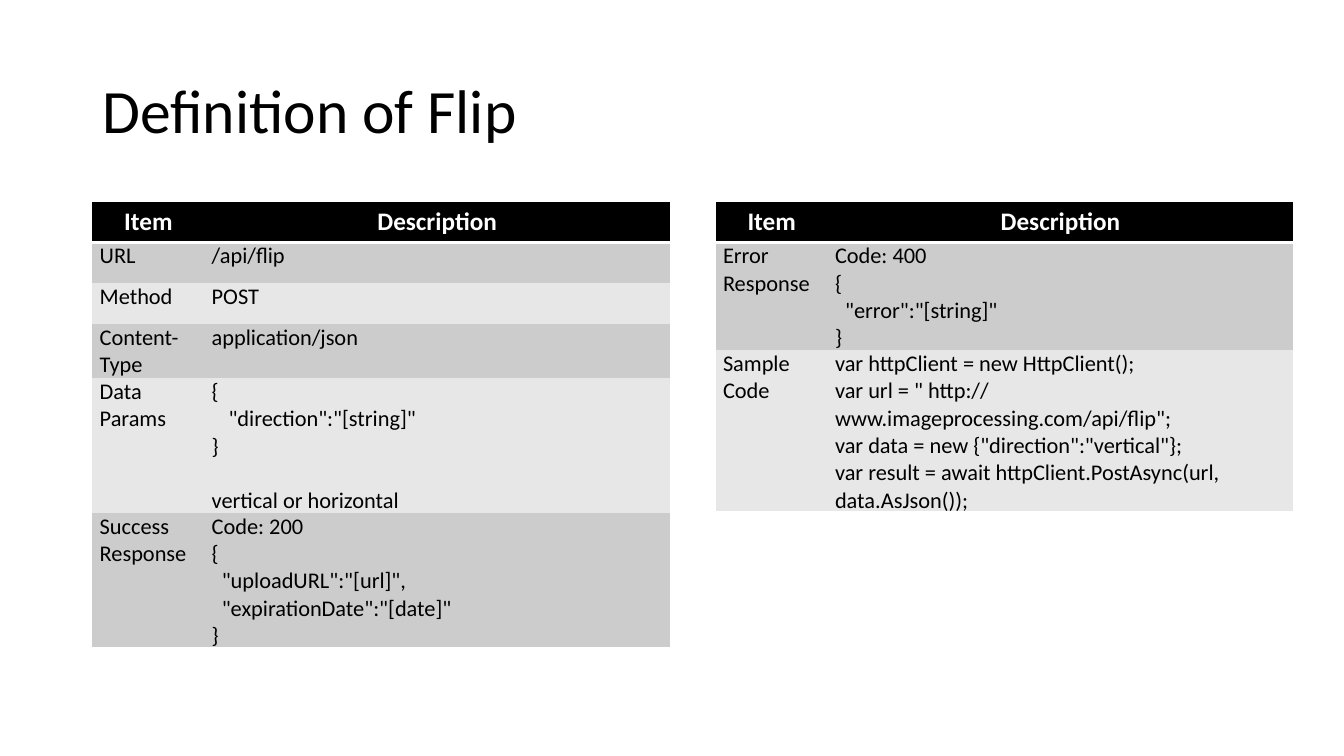
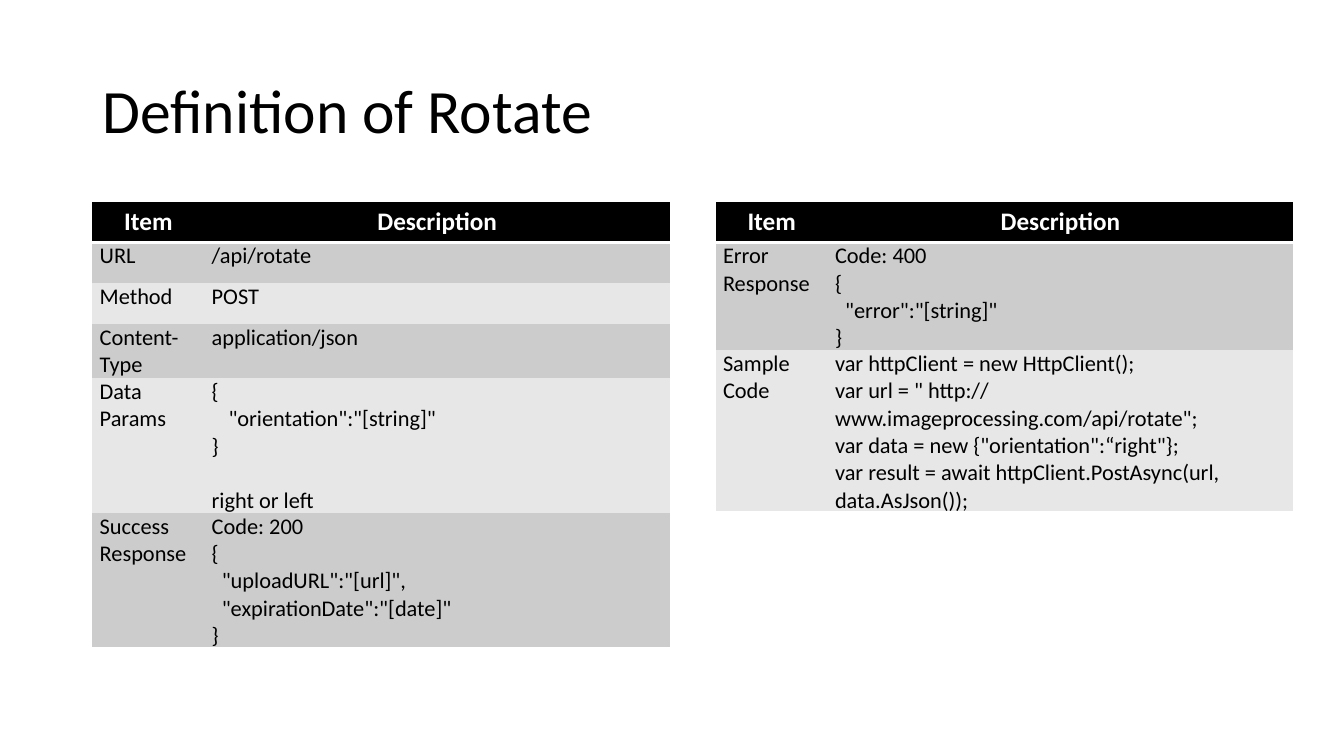
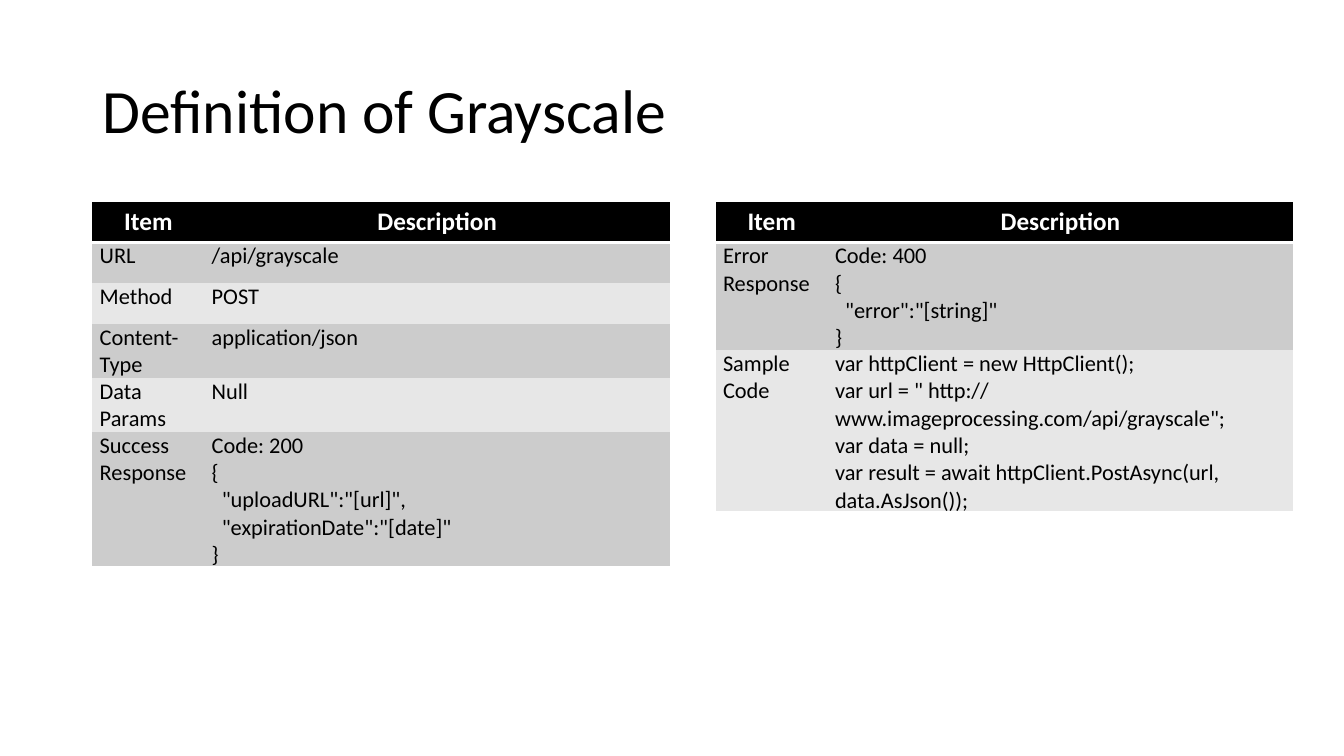
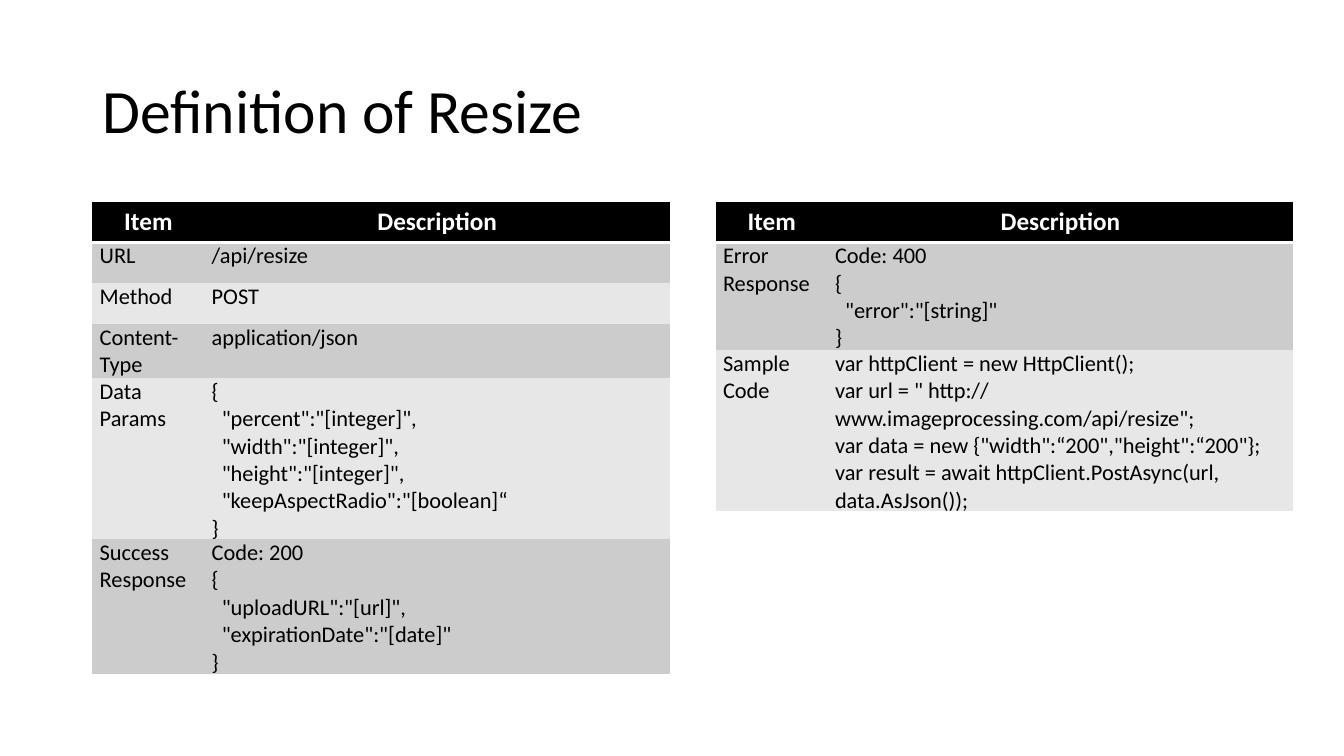
from dataclasses import dataclass

from lxml import etree
from pptx import Presentation
from pptx.dml.color import RGBColor
from pptx.enum.text import MSO_ANCHOR, PP_ALIGN
from pptx.oxml.ns import qn
from pptx.util import Pt

MIDDLE = MSO_ANCHOR.MIDDLE
CENTER = PP_ALIGN.CENTER

FONT = "Calibri"
BLACK = RGBColor(0x00, 0x00, 0x00)
WHITE = RGBColor(0xFF, 0xFF, 0xFF)
BANDS = (RGBColor(0xCC, 0xCC, 0xCC), RGBColor(0xE7, 0xE7, 0xE7))
NO_STYLE = "{2D5ABB26-0587-4C30-8999-92F81FD0307C}"

TITLE_BOX = (66, 28.8, 828, 104.4)
LEFT_TABLE = (66, 144)
RIGHT_TABLE = (511.2, 144)
COL_WIDTHS = (80, 332.6)
ROW_HEIGHT = 29.2
CELL_INSET = 5.25
LINE_HEIGHT = 19.5
FIELD_INDENT = 7.2
PARAM_INDENT = 12


@dataclass
class Line:
    text: str
    indent: float = 0
    before: float = 0


@dataclass
class Operation:
    name: str
    params: list
    data: str

    @property
    def route(self):
        return f"/api/{self.name.lower()}"


def json_block(fields, indent=FIELD_INDENT):
    return [Line("{"), *[Line(f, indent) for f in fields], Line("}")]


def single_param(field, choices):
    return [*json_block([field], PARAM_INDENT),
            Line(choices, before=LINE_HEIGHT)]


OPERATIONS = [
    Operation("Flip",
              single_param('"direction":"[string]"', "vertical or horizontal"),
              'new {"direction":"vertical"}'),
    Operation("Rotate",
              single_param('"orientation":"[string]"', "right or left"),
              'new {"orientation":“right"}'),
    Operation("Grayscale", [Line("Null")], "null"),
    Operation("Resize",
              json_block(['"percent":"[integer]",',
                          '"width":"[integer]",',
                          '"height":"[integer]",',
                          '"keepAspectRadio":"[boolean]“']),
              'new {"width":“200","height":“200"}'),
]


def style_font(p, size, color, bold=False):
    f = p.font
    f.name, f.size, f.bold = FONT, Pt(size), bold
    f.color.rgb = color


def add_title(s, box, text):
    tf = s.shapes.add_textbox(*map(Pt, box)).text_frame
    tf.word_wrap = True
    tf.vertical_anchor = MIDDLE
    p = tf.paragraphs[0]
    p.text = text
    p.line_spacing = 0.9
    style_font(p, 44, BLACK)


def underline_cell(cell, color, width):
    ln = etree.Element(qn("a:lnB"), w=str(Pt(width)))
    fill = etree.SubElement(ln, qn("a:solidFill"))
    etree.SubElement(fill, qn("a:srgbClr"), val=str(color))
    cell._tc.get_or_add_tcPr().insert(0, ln)


def fill_cell(cell, color):
    cell.fill.solid()
    cell.fill.fore_color.rgb = color


def write_header(cell, text):
    fill_cell(cell, BLACK)
    underline_cell(cell, WHITE, 2)
    p = cell.text_frame.paragraphs[0]
    p.text = text
    p.alignment = CENTER
    style_font(p, 18, WHITE, True)


def write_body(cell, lines, color):
    fill_cell(cell, color)
    cell.margin_left = cell.margin_right = Pt(CELL_INSET)
    cell.margin_top = cell.margin_bottom = 0
    tf = cell.text_frame
    for i, line in enumerate(lines):
        p = tf.add_paragraph() if i else tf.paragraphs[0]
        p.text = line.text
        style_font(p, 16, BLACK)
        if line.before:
            p.space_before = Pt(line.before)
        if line.indent:
            p._p.get_or_add_pPr().set("marL", str(Pt(line.indent)))


def add_definition_table(s, origin, rows):
    n = len(rows) + 1
    size = (sum(COL_WIDTHS), n * ROW_HEIGHT)
    table = s.shapes.add_table(n, 2, *map(Pt, (*origin, *size))).table
    table._tbl.tblPr.find(qn("a:tableStyleId")).text = NO_STYLE
    for column, width in zip(table.columns, COL_WIDTHS):
        column.width = Pt(width)
    for c, text in enumerate(("Item", "Description")):
        write_header(table.cell(0, c), text)
    for r, (item, lines) in enumerate(rows, 1):
        color = BANDS[(r - 1) % 2]
        write_body(table.cell(r, 0), [Line(item)], color)
        write_body(table.cell(r, 1), lines, color)


def request_rows(op):
    return [
        ("URL", [Line(op.route)]),
        ("Method", [Line("POST")]),
        ("Content-Type", [Line("application/json")]),
        ("Data Params", op.params),
        ("Success Response",
         [Line("Code: 200"), *json_block(['"uploadURL":"[url]",',
                                          '"expirationDate":"[date]"'])]),
    ]


def usage_rows(op):
    return [
        ("Error Response",
         [Line("Code: 400"), *json_block(['"error":"[string]"'])]),
        ("Sample Code",
         [Line("var httpClient = new HttpClient();"),
          Line(f'var url = " http:// www.imageprocessing.com{op.route}";'),
          Line(f"var data = {op.data};"),
          Line("var result = await httpClient.PostAsync(url, data.AsJson());")]),
    ]


def add_definition_slide(prs, op):
    s = prs.slides.add_slide(prs.slide_layouts[6])
    add_title(s, TITLE_BOX, f"Definition of {op.name}")
    add_definition_table(s, LEFT_TABLE, request_rows(op))
    add_definition_table(s, RIGHT_TABLE, usage_rows(op))


def main():
    prs = Presentation()
    prs.slide_width, prs.slide_height = Pt(960), Pt(540)
    for op in OPERATIONS:
        add_definition_slide(prs, op)
    prs.save("out.pptx")


if __name__ == "__main__":
    main()
